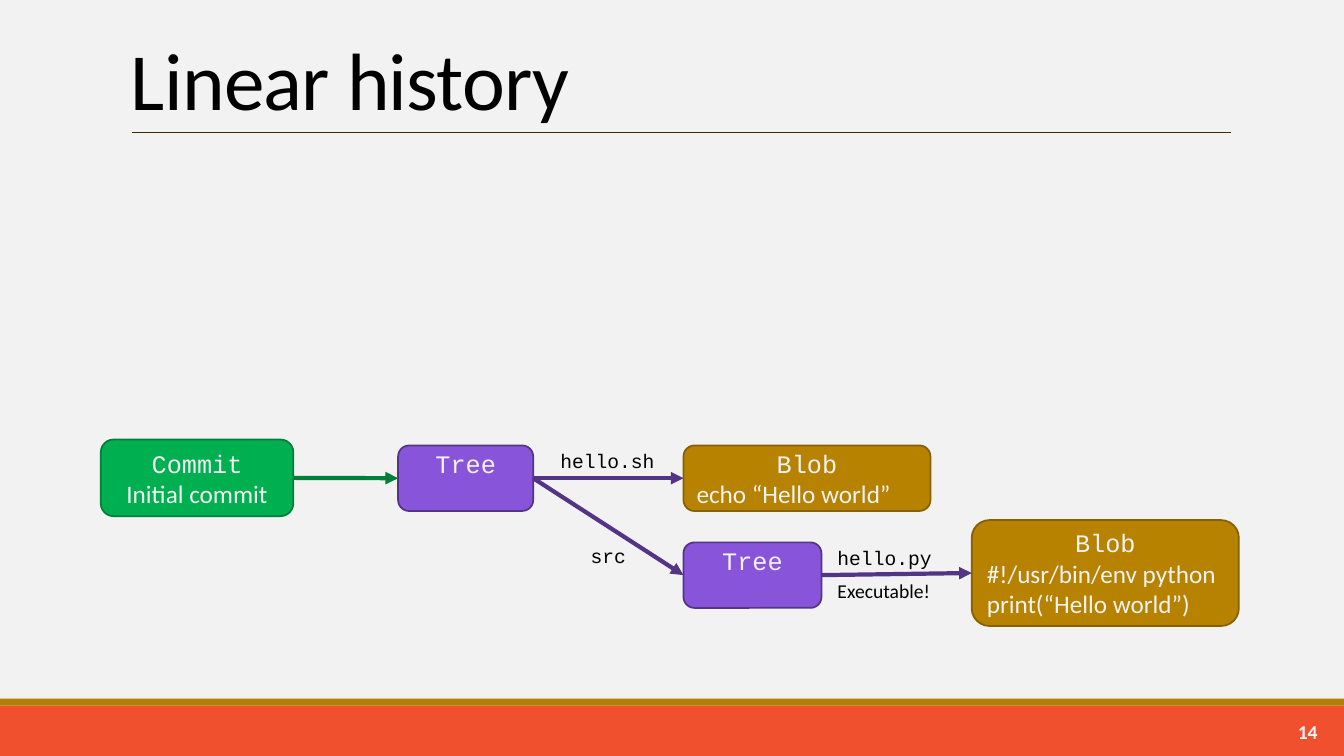
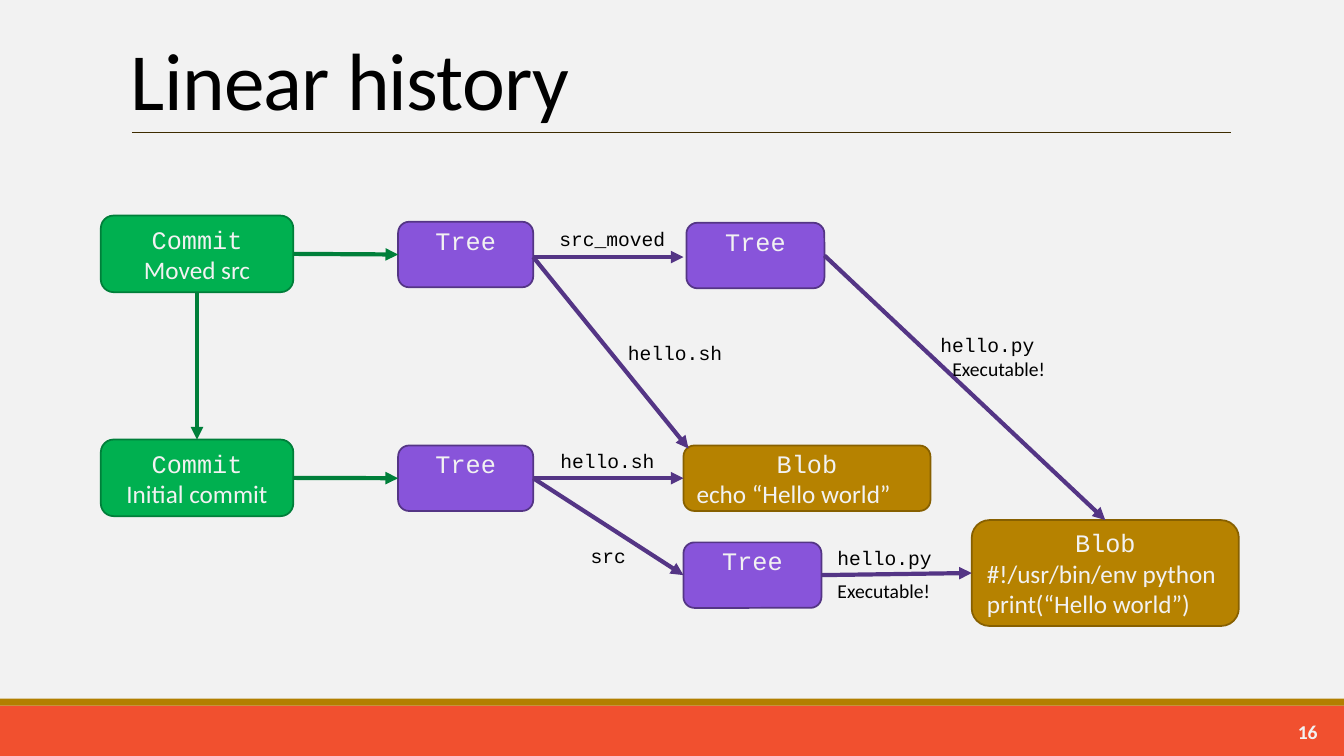
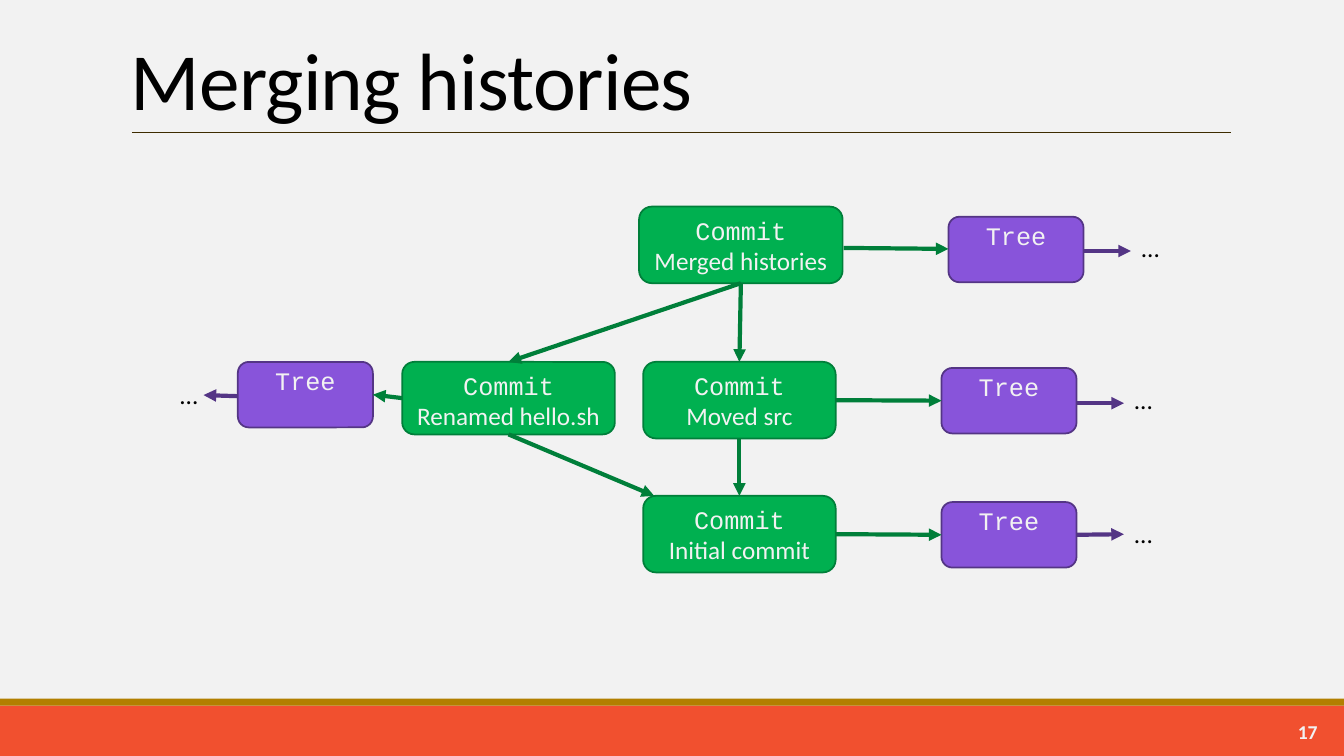
import lxml.etree
import pptx
import pptx.dml.color
import pptx.enum.shapes
import pptx.enum.text
import pptx.oxml.ns
import pptx.util

Pt = pptx.util.Pt
SHAPE = pptx.enum.shapes.MSO_SHAPE
ANCHOR = pptx.enum.text.MSO_ANCHOR
ALIGN = pptx.enum.text.PP_ALIGN
qn = pptx.oxml.ns.qn

SANS, MONO = "Calibri", "Courier New"
PAPER, INK, ORANGE, GOLD, RULE = "F2F2F2", "000000", "F1502F", "B27F00", "3E2C00"
GREEN, PURPLE = "007F3A", "543585"

KINDS = {
    "Commit": {"fill": "00B050", "line": GREEN, "size": (137.5, 54.7),
               "anchor": ANCHOR.TOP, "top": 3.6, "align": ALIGN.CENTER},
    "Tree": {"fill": "8854DA", "line": PURPLE, "size": (96.5, 46.8),
             "anchor": ANCHOR.TOP, "top": 0, "align": ALIGN.CENTER},
    "Blob": {"fill": "B68200", "line": "876000", "size": (176.4, 46.8),
             "anchor": ANCHOR.MIDDLE, "top": 3.6, "align": ALIGN.LEFT},
}
LABELS = {
    "file": {"font": MONO, "size": 14, "height": 24.5},
    "note": {"font": SANS, "size": 14, "height": 24.5, "width": 82.8},
    "more": {"font": SANS, "size": 18, "height": 28.8, "width": 75.6},
}

FIRST_NODES = {
    "initial": ("Commit", (72, 314), ["Initial commit"]),
    "root": ("Tree", (284.4, 318.2), []),
    "src": ("Tree", (488.2, 387.4), [], (98.6, 46.8)),
    "hello_sh": ("Blob", (488.2, 318.2), ["echo “Hello world”"]),
    "hello_py": ("Blob", (694.1, 371.5),
                 ["#!/usr/bin/env python", "print(“Hello world”)"], (190.8, 75.6)),
}
FIRST_ARROWS = [
    (GREEN, "initial.right", "root.left"),
    (PURPLE, "root.right", "hello_sh.left"),
    (PURPLE, "root.right", "src.left"),
    (PURPLE, "src.right", "hello_py.left"),
]
FIRST_LABELS = [
    ("file", "hello.sh", 393.1, 316.8),
    ("file", "src", 414.7, 385.2),
    ("file", "hello.py", 591.1, 386.6),
    ("note", "Executable!", 591.1, 409.7),
]
MOVED_NODES = {
    "moved": ("Commit", (72, 154), ["Moved src"]),
    "moved_root": ("Tree", (284.4, 158.4), []),
    "src_moved": ("Tree", (490.3, 159.1), [], (98.6, 46.8)),
}
MOVED_ARROWS = [
    (GREEN, "moved.right", "moved_root.left"),
    (GREEN, "moved.bottom", "initial.top"),
    (PURPLE, (380.9, 183.6), (491.8, 320.4)),
    (PURPLE, (380.9, 183.6), (488.2, 183.6)),
    (PURPLE, "src_moved.right", "hello_py.top"),
]
MOVED_LABELS = [
    ("file", "hello.sh", 441.4, 239.8),
    ("file", "src_moved", 392.4, 158.4),
    ("file", "hello.py", 664.6, 234),
    ("note", "Executable!", 673.2, 251.3),
]
MERGE_NODES = {
    "merged": ("Commit", (456.5, 147.6), ["Merged histories"], (145.4, 54.7)),
    "renamed": ("Commit", (287.3, 258.5), ["Renamed hello.sh"], (151.9, 51.8)),
    "moved": ("Commit", (459.4, 258.5), ["Moved src"]),
    "initial": ("Commit", (459.4, 354.2), ["Initial commit"]),
    "merged_tree": ("Tree", (677.5, 154.8), []),
    "renamed_tree": ("Tree", (169.9, 258.5), []),
    "moved_tree": ("Tree", (672.5, 262.8), []),
    "initial_tree": ("Tree", (672.5, 358.6), []),
}
MERGE_ARROWS = [
    (GREEN, "merged.bottom", "moved.top"),
    (GREEN, "merged.bottom", "renamed.top"),
    (GREEN, "moved.bottom", "initial.top"),
    (GREEN, "renamed.bottom", (467.3, 354.2)),
    (GREEN, (602.6, 177.1), (677.5, 177.8)),
    (GREEN, "moved.right", "moved_tree.left"),
    (GREEN, "initial.right", "initial_tree.left"),
    (GREEN, "renamed.left", "renamed_tree.right"),
    (PURPLE, (774, 179.3), (807.8, 179.3)),
    (PURPLE, (769, 288), (802.8, 288)),
    (PURPLE, "initial_tree.right", (802.8, 381.6)),
    (PURPLE, (169.9, 283), (145.4, 282.2)),
]
MERGE_LABELS = [
    ("more", "...", 807.8, 162.7),
    ("more", "...", 802.8, 270.7),
    ("more", "...", 802.8, 366.5),
    ("more", "...", 121, 267.1),
]
SLIDES = [
    ("Linear history", 14, FIRST_NODES, FIRST_ARROWS, FIRST_LABELS),
    ("Linear history", 16, {**FIRST_NODES, **MOVED_NODES},
     FIRST_ARROWS + MOVED_ARROWS, FIRST_LABELS + MOVED_LABELS),
    ("Merging histories", 17, MERGE_NODES, MERGE_ARROWS, MERGE_LABELS),
]


def rgb(value):
    return pptx.dml.color.RGBColor.from_string(value)


def write(tf, text, font=SANS, size=18, color=INK, bold=False,
          align=ALIGN.LEFT, line_spacing=None, tracking=None):
    p = tf.paragraphs[0] if not tf.paragraphs[0].runs else tf.add_paragraph()
    p.alignment = align
    if line_spacing:
        p.line_spacing = line_spacing
    r = p.add_run()
    r.text = text
    r.font.name, r.font.size, r.font.bold = font, Pt(size), bold
    r.font.color.rgb = rgb(color)
    if tracking:
        r.font._element.set("spc", str(round(tracking * 100)))


def add_text(s, text, x, y, w, h, anchor=ANCHOR.TOP, **style):
    tf = s.shapes.add_textbox(Pt(x), Pt(y), Pt(w), Pt(h)).text_frame
    tf.word_wrap = True
    tf.vertical_anchor = anchor
    write(tf, text, **style)


def add_box(s, preset, x, y, w, h, fill, line=None):
    sp = s.shapes.add_shape(preset, Pt(x), Pt(y), Pt(w), Pt(h))
    sp.shadow.inherit = False
    sp.fill.solid()
    sp.fill.fore_color.rgb = rgb(fill)
    if line:
        sp.line.color.rgb = rgb(line)
        sp.line.width = Pt(1.25)
    else:
        sp.line.fill.background()
    return sp


def add_line(s, start, end, color, width, arrow=False):
    straight = pptx.enum.shapes.MSO_CONNECTOR.STRAIGHT
    sp = s.shapes.add_connector(straight, *(Pt(v) for v in (*start, *end)))
    sp.line.color.rgb = rgb(color)
    sp.line.width = Pt(width)
    props = sp.element.spPr
    if arrow:
        lxml.etree.SubElement(props.find(qn("a:ln")), qn("a:tailEnd"), type="triangle")
    lxml.etree.SubElement(props, qn("a:effectLst"))


def add_frame(s, title, number):
    add_box(s, SHAPE.RECTANGLE, 0, 504, 960, 36, ORANGE)
    add_box(s, SHAPE.RECTANGLE, 0, 499, 960, 5, GOLD)
    add_line(s, (94.3, 94.3), (879.1, 94.3), RULE, 0.5)
    add_text(s, title, 86.4, 18, 792, 76.3, anchor=ANCHOR.BOTTOM,
             size=58, line_spacing=0.85, tracking=-0.5)
    add_text(s, str(number), 845.3, 508.3, 103, 28.8, anchor=ANCHOR.MIDDLE,
             size=14, color=PAPER, bold=True, align=ALIGN.RIGHT)


def add_node(s, kind, at, lines, size=None):
    look = KINDS[kind]
    w, h = size or look["size"]
    sp = add_box(s, SHAPE.ROUNDED_RECTANGLE, *at, w, h, look["fill"], look["line"])
    tf = sp.text_frame
    tf.word_wrap = True
    tf.vertical_anchor = look["anchor"]
    tf.margin_top = Pt(look["top"])
    write(tf, kind, font=MONO, color=PAPER, align=ALIGN.CENTER)
    for line in lines:
        write(tf, line, color=PAPER, align=look["align"])


def locate(end, nodes):
    if isinstance(end, tuple):
        return end
    name, side = end.split(".")
    kind, (x, y), lines, *size = nodes[name]
    w, h = size[0] if size else KINDS[kind]["size"]
    across, down = {"left": (0, 0.5), "right": (1, 0.5),
                    "top": (0.5, 0), "bottom": (0.5, 1)}[side]
    return x + w * across, y + h * down


def add_label(s, kind, text, x, y):
    look = LABELS[kind]
    width = look.get("width", 8.4 * len(text) + 15.6)
    add_text(s, text, x, y, width, look["height"], font=look["font"], size=look["size"])


def main():
    prs = pptx.Presentation()
    prs.slide_width, prs.slide_height = Pt(960), Pt(540)
    background = prs.slide_master.background.fill
    background.solid()
    background.fore_color.rgb = rgb(PAPER)
    for title, number, nodes, arrows, labels in SLIDES:
        s = prs.slides.add_slide(prs.slide_layouts[6])
        add_frame(s, title, number)
        for node in nodes.values():
            add_node(s, *node)
        for color, start, end in arrows:
            add_line(s, locate(start, nodes), locate(end, nodes), color, 3, arrow=True)
        for label in labels:
            add_label(s, *label)
    prs.save("out.pptx")


if __name__ == "__main__":
    main()
